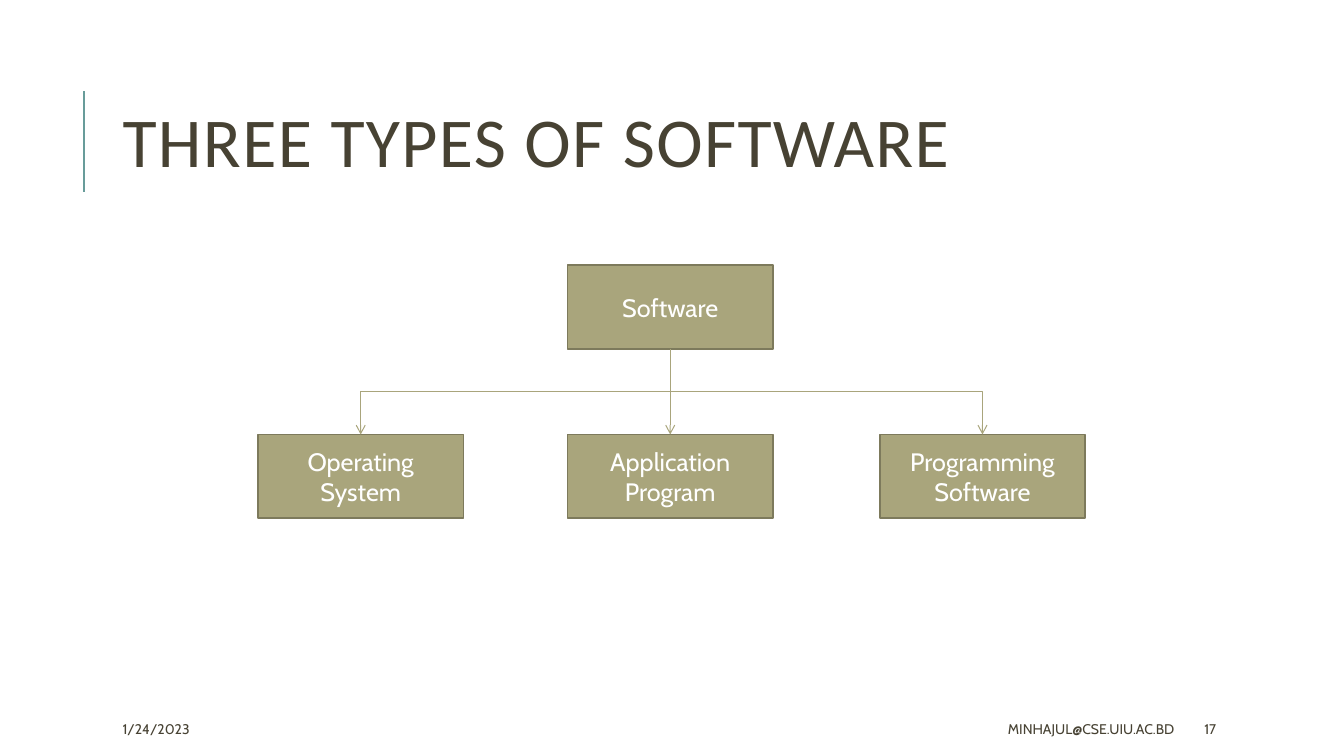
from pptx import Presentation
from pptx.dml.color import RGBColor
from pptx.enum.shapes import MSO_CONNECTOR, MSO_SHAPE
from pptx.enum.text import MSO_ANCHOR, PP_ALIGN
from pptx.oxml.ns import qn
from pptx.util import Cm, Pt
from lxml import etree

TEAL, DARK, OLIVE, OLIVE_EDGE, WHITE = "689C9A", "474233", "A9A57C", "7D7A5C", "FFFFFF"
BOX_WIDTH, BOX_HEIGHT = 5.18, 2.11
PARENT_TOP, CHILD_TOP = 6.68, 10.95
FOOTER_TOP, FOOTER_HEIGHT = 17.98, 0.76
BOTTOM, TOP = 2, 0


def color(hex_string):
    return RGBColor.from_string(hex_string)


def write(shape, text, size, font="Cabin", ink=DARK, align=PP_ALIGN.LEFT):
    frame = shape.text_frame
    frame.word_wrap = True
    frame.vertical_anchor = MSO_ANCHOR.MIDDLE
    paragraph = frame.paragraphs[0]
    paragraph.alignment = align
    run = paragraph.add_run()
    run.text = text
    for name, value in {"name": font, "size": Pt(size)}.items():
        setattr(run.font, name, value)
    run.font.color.rgb = color(ink)
    return paragraph


def add_label(slide, left, top, width, height, text, size, **style):
    label = slide.shapes.add_textbox(Cm(left), Cm(top), Cm(width), Cm(height))
    return write(label, text, size, **style)


def add_title(slide, text):
    title = add_label(slide, 2.84, 1.63, 27, 4.17, text, 50, font="Calibri")
    title.line_spacing = 0.8
    title.runs[0].font._element.set("spc", "100")


def add_box(slide, left, top, text):
    box = slide.shapes.add_shape(
        MSO_SHAPE.RECTANGLE, Cm(left), Cm(top), Cm(BOX_WIDTH), Cm(BOX_HEIGHT))
    box.shadow.inherit = False
    box.fill.solid()
    box.fill.fore_color.rgb = color(OLIVE)
    box.line.color.rgb = color(OLIVE_EDGE)
    box.line.width = Pt(1.25)
    write(box, text, 18, ink=WHITE, align=PP_ALIGN.CENTER)
    return box


def add_line(slide, kind, start, end, ink, width):
    line = slide.shapes.add_connector(kind, *start, *end)
    line.line.color.rgb = color(ink)
    line.line.width = Pt(width)
    etree.SubElement(line._element.spPr, qn("a:effectLst"))
    return line


def add_branch(slide, parent, child):
    """Join the parent's bottom to the child's top with an arrow."""
    start = parent.left + parent.width // 2, parent.top + parent.height
    end = child.left + child.width // 2, child.top
    span, drop = end[0] - start[0], end[1] - start[1]
    kind = MSO_CONNECTOR.ELBOW if span else MSO_CONNECTOR.STRAIGHT
    branch = add_line(slide, kind, start, end, OLIVE, 0.75)
    branch.begin_connect(parent, BOTTOM)
    branch.end_connect(child, TOP)
    etree.SubElement(branch.line._get_or_add_ln(), qn("a:tailEnd"), type="arrow")
    if span:
        turn_elbow(branch, start, span, drop)


def turn_elbow(branch, start, span, drop):
    """Rotate an elbow so that it leaves and arrives vertically."""
    frame = {
        "left": start[0] + (span - drop) // 2,
        "top": start[1] + (drop - abs(span)) // 2,
        "width": drop,
        "height": abs(span),
    }
    for name, value in frame.items():
        setattr(branch, name, value)
    rightward = span > 0
    turn = {"rot": 270 * 60000 if rightward else 90 * 60000,
            "flipH": int(rightward), "flipV": 0}
    for name, value in turn.items():
        branch._element.spPr.find(qn("a:xfrm")).set(name, str(value))


def main():
    presentation = Presentation()
    presentation.slide_width, presentation.slide_height = Cm(33.87), Cm(19.05)
    slide = presentation.slides.add_slide(presentation.slide_layouts[6])

    add_line(slide, MSO_CONNECTOR.STRAIGHT, (Cm(2.12), Cm(4.83)),
             (Cm(2.12), Cm(2.3)), TEAL, 1.5)
    add_title(slide, "THREE TYPES OF SOFTWARE")

    software = add_box(slide, 14.3, PARENT_TOP, "Software")
    for left, software_type in ((14.3, "Application Program"),
                                (6.5, "Operating System"),
                                (22.17, "Programming Software")):
        add_branch(slide, software, add_box(slide, left, CHILD_TOP, software_type))

    for left, width, text, align in (
            (2.84, 6, "1/24/2023", PP_ALIGN.LEFT),
            (13.46, 16.38, "MINHAJUL@CSE.UIU.AC.BD", PP_ALIGN.RIGHT),
            (30.1, 2.69, "17", PP_ALIGN.LEFT)):
        add_label(slide, left, FOOTER_TOP, width, FOOTER_HEIGHT, text, 10, align=align)

    presentation.save("out.pptx")


if __name__ == "__main__":
    main()
